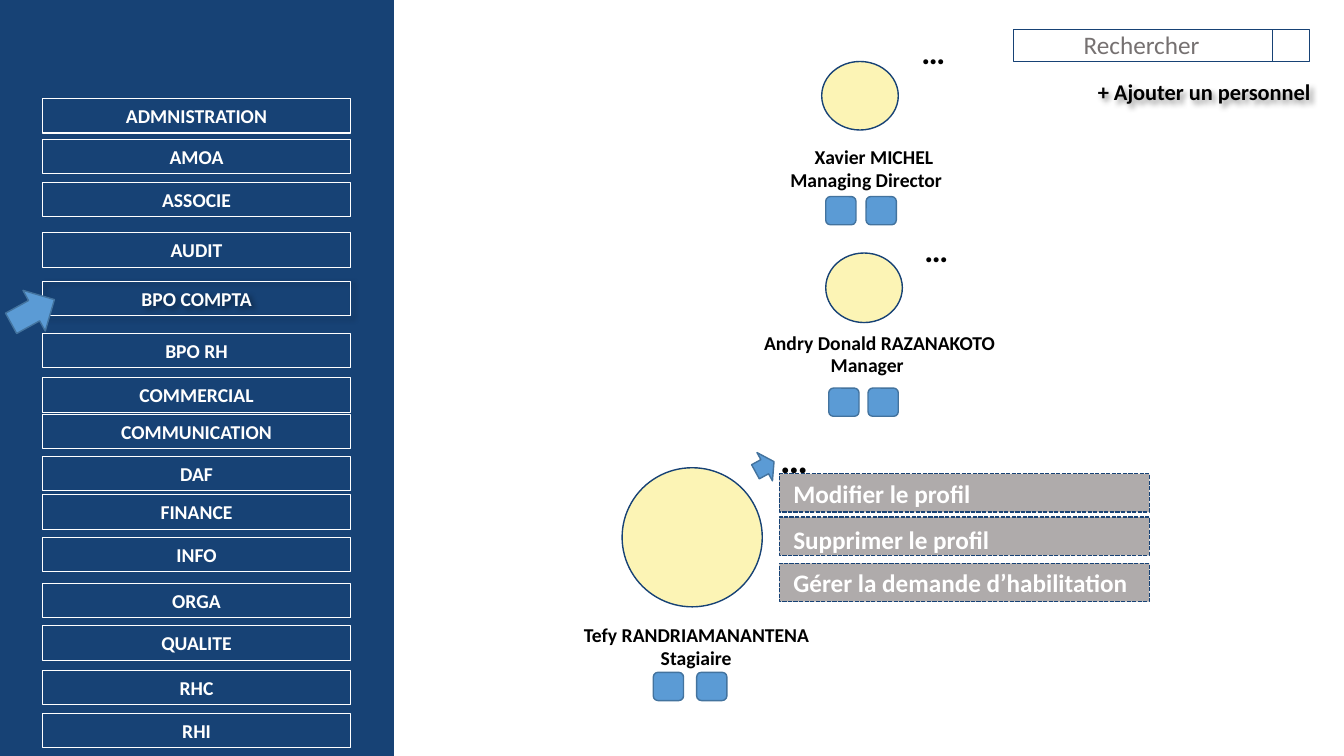
from lxml import etree
from pptx import Presentation
from pptx.dml.color import RGBColor
from pptx.enum.dml import MSO_LINE
from pptx.enum.shapes import MSO_SHAPE
from pptx.enum.text import MSO_ANCHOR, MSO_AUTO_SIZE, PP_ALIGN
from pptx.oxml.ns import qn
from pptx.util import Inches, Pt

RECTANGLE = MSO_SHAPE.RECTANGLE
ROUNDED = MSO_SHAPE.ROUNDED_RECTANGLE
OVAL = MSO_SHAPE.OVAL
ARROW = MSO_SHAPE.RIGHT_ARROW
LEFT, CENTER = PP_ALIGN.LEFT, PP_ALIGN.CENTER
MIDDLE, TOP = MSO_ANCHOR.MIDDLE, MSO_ANCHOR.TOP
FIT_SHAPE = MSO_AUTO_SIZE.SHAPE_TO_FIT_TEXT
DASH = MSO_LINE.SQUARE_DOT

NAVY, BLUE, BLUE_EDGE = "174275", "5B9BD5", "43739E"
YELLOW, GREY, PLACEHOLDER = "FCF4B5", "AFABAB", "767171"
WHITE, BLACK = "FFFFFF", "000000"
FONT = "Calibri"


def color(hex_value):
    return RGBColor.from_string(hex_value)


def write(shape, text, size, hex_value, bold=True, align=LEFT, anchor=TOP):
    frame = shape.text_frame
    frame.word_wrap = True
    frame.auto_size = FIT_SHAPE
    frame.vertical_anchor = anchor
    paragraph = frame.paragraphs[0]
    paragraph.alignment = align
    run = paragraph.add_run()
    run.text = text
    run.font.name = FONT
    run.font.size = Pt(size)
    run.font.bold = bold
    run.font.color.rgb = color(hex_value)


def add_box(slide, kind, box, fill=None, line=NAVY, weight=1):
    shape = slide.shapes.add_shape(kind, *map(Inches, box))
    shape.shadow.inherit = False
    if fill:
        shape.fill.solid()
        shape.fill.fore_color.rgb = color(fill)
    else:
        shape.fill.background()
    shape.line.color.rgb = color(line)
    shape.line.width = Pt(weight)
    return shape


def add_text(slide, box, text, size, hex_value=BLACK, bold=True, align=LEFT):
    shape = slide.shapes.add_textbox(*map(Inches, box))
    write(shape, text, size, hex_value, bold, align)
    return shape


def add_pointer(slide, box):
    add_box(slide, ARROW, box, BLUE, BLUE_EDGE).rotation = 331.3


def add_shadow(shape):
    shape.shadow.inherit = False
    effects = shape._element.spPr.find(qn("a:effectLst"))
    shadow = etree.SubElement(effects, qn("a:outerShdw"), blurRad=str(Pt(4)),
                              dist=str(Pt(3)), dir=str(45 * 60000),
                              algn="tl", rotWithShape="0")
    tint = etree.SubElement(shadow, qn("a:srgbClr"), val=BLACK)
    etree.SubElement(tint, qn("a:alpha"), val="40000")


def inside(box, part):
    """Shift a part by the corner of the box that holds it."""
    return box[0] + part[0], box[1] + part[1], part[2], part[3]


def build_sidebar(slide, box, departments, selected):
    add_box(slide, RECTANGLE, box, NAVY)
    for label, top in departments:
        button = add_box(slide, RECTANGLE, inside(box, (0.42, top, 3.06, 0.34)),
                         line=WHITE, weight=0.75)
        write(button, label, 14, WHITE, align=CENTER, anchor=MIDDLE)
        if label == selected:
            add_shadow(button)
            add_pointer(slide, inside(box, (0.08, top + 0.07, 0.49, 0.46)))


def build_search(slide, box):
    left, top, width, height = box
    field = width - 0.37
    add_box(slide, RECTANGLE, (left, top, field, height))
    add_box(slide, RECTANGLE, (left + field, top, 0.37, height))
    add_text(slide, inside(box, (0.6, -0.05, 1.87, 0.4)), "Rechercher", 18,
             PLACEHOLDER, bold=False)
    add_shadow(add_text(slide, inside(box, (0.74, 0.44, 2.81, 0.37)),
                        "+ Ajouter un personnel", 16))


def build_person(slide, box, name, role, badges, dots, align=LEFT):
    """The box is the portrait; all other parts are offsets from its corner."""
    add_box(slide, OVAL, box, YELLOW)
    for text, part in (name, role):
        add_text(slide, inside(box, part), text, 14, align=align)
    badge_top, badge_lefts = badges
    for badge_left in badge_lefts:
        add_box(slide, ROUNDED, inside(box, (badge_left, badge_top, 0.3, 0.28)),
                BLUE, BLUE_EDGE)
    size, part = dots
    add_text(slide, inside(box, part), "…", size)


def build_profile_menu(slide, box, entries):
    add_pointer(slide, inside(box, (-0.25, -0.23, 0.21, 0.32)))
    for label, top, text_top in entries:
        bar = add_box(slide, RECTANGLE, inside(box, (0, top, box[2], 0.38)), GREY)
        bar.line.dash_style = DASH
        add_text(slide, inside(box, (0.04, text_top, box[2], 0.4)), label, 18, WHITE)


presentation = Presentation()
presentation.slide_width = Inches(13.33)
presentation.slide_height = Inches(7.5)
slide = presentation.slides.add_slide(presentation.slide_layouts[6])

# Department list
DEPARTMENTS = [
    ("ADMNISTRATION", 0.98), ("AMOA", 1.38), ("ASSOCIE", 1.81),
    ("AUDIT", 2.31), ("BPO COMPTA", 2.79), ("BPO RH", 3.31),
    ("COMMERCIAL", 3.75), ("COMMUNICATION", 4.11), ("DAF", 4.53),
    ("FINANCE", 4.91), ("INFO", 5.33), ("ORGA", 5.79),
    ("QUALITE", 6.21), ("RHC", 6.65), ("RHI", 7.08),
]
build_sidebar(slide, (0, 0, 3.9, 7.5), DEPARTMENTS, "BPO COMPTA")

# Search bar and add action
build_search(slide, (10.05, 0.29, 2.94, 0.32))

# Staff, from director to trainee
build_person(slide, (8.15, 0.61, 0.76, 0.68),
             ("Xavier MICHEL", (-0.17, 0.78, 3.02, 0.34)),
             ("Managing Director", (-0.41, 1.01, 1.87, 0.34)),
             (1.34, (0.04, 0.44)), (24, (0.89, -0.35, 0.67, 0.5)))
build_person(slide, (8.19, 2.51, 0.76, 0.69),
             ("Andry Donald RAZANAKOTO", (-0.71, 0.72, 3.02, 0.34)),
             ("Manager", (-0.05, 0.94, 1.87, 0.34)),
             (1.34, (0.03, 0.42)), (24, (0.88, -0.29, 0.67, 0.5)))
build_person(slide, (6.17, 4.64, 1.39, 1.38),
             ("Tefy RANDRIAMANANTENA", (-0.66, 1.49, 2.8, 0.34)),
             ("Stagiaire", (-0.37, 1.72, 2.21, 0.34)),
             (2.03, (0.31, 0.74)), (28, (1.47, -0.38, 0.67, 0.57)), CENTER)

# Menu opened on the trainee
build_profile_menu(slide, (7.73, 4.7, 3.67, 1.27), [
    ("Modifier le profil", 0, 0),
    ("Supprimer le profil", 0.43, 0.45),
    ("Gérer la demande d’habilitation", 0.89, 0.88),
])

presentation.save("out.pptx")
